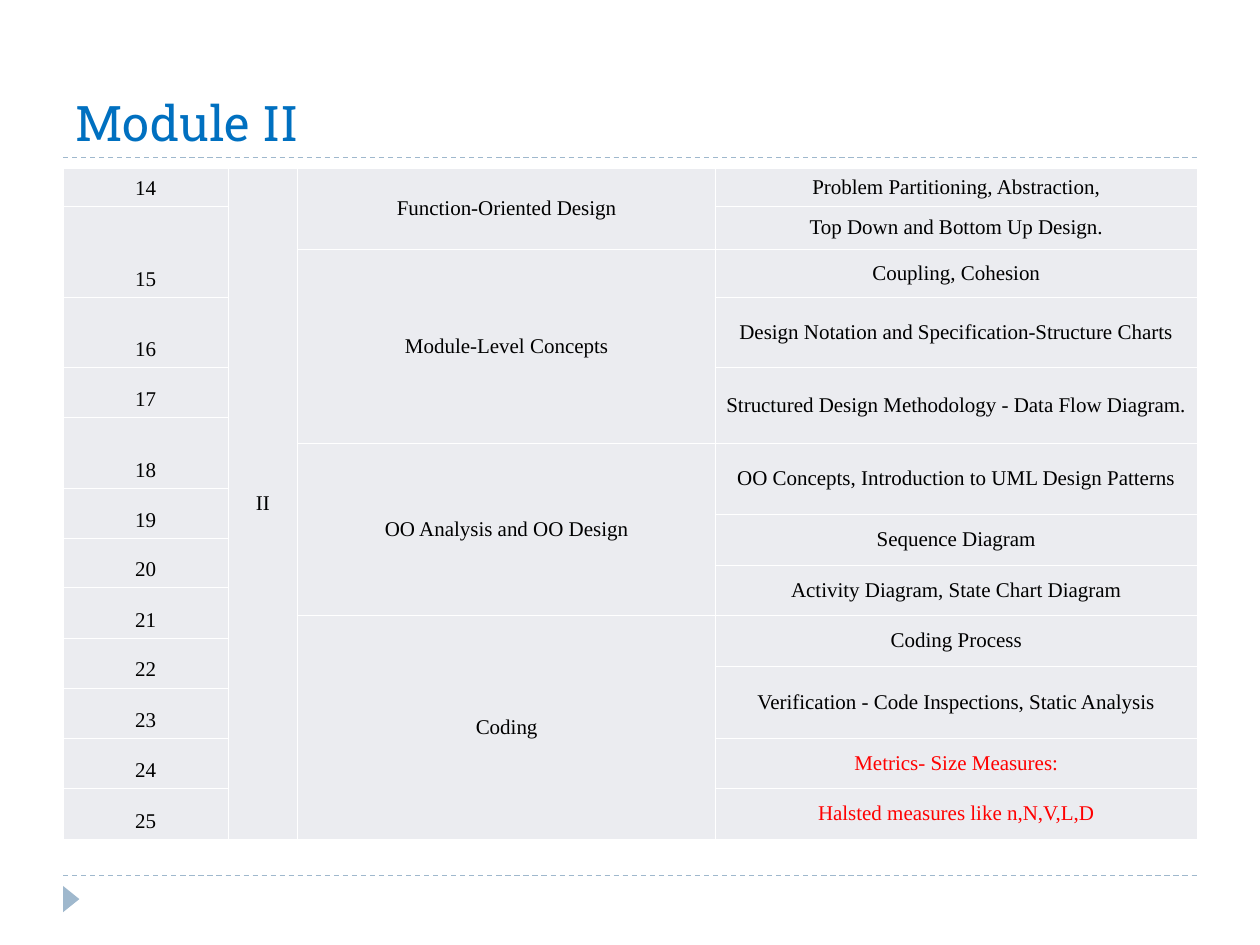
from lxml import etree
from pptx import Presentation
from pptx.dml.color import RGBColor
from pptx.enum.dml import MSO_LINE
from pptx.enum.shapes import MSO_CONNECTOR, MSO_SHAPE
from pptx.enum.text import MSO_ANCHOR, PP_ALIGN
from pptx.oxml.ns import qn
from pptx.util import Cm, Pt

DASH = MSO_LINE.DASH
STRAIGHT = MSO_CONNECTOR.STRAIGHT
TRIANGLE = MSO_SHAPE.ISOSCELES_TRIANGLE
MIDDLE, BOTTOM = MSO_ANCHOR.MIDDLE, MSO_ANCHOR.BOTTOM
LEFT, CENTER = PP_ALIGN.LEFT, PP_ALIGN.CENTER

BLACK, RED, WHITE = "000000", "FF0000", "FFFFFF"
TITLE_BLUE, ACCENT, CELL_GREY = "0070C0", "9FB8CD", "EBECF0"

MARGIN, CONTENT_WIDTH = 1.27, 22.86
COLUMN_WIDTHS = [3.33, 1.4, 8.43, 9.7]
ROW_HEIGHTS = [0.77, 0.87, 0.97, 1.41, 1.01, 0.52, 0.91, 0.52, 0.48,
               0.54, 0.46, 0.56, 0.46, 0.56, 0.44, 1.01, 1.01, 1.03]

# Each column from top to bottom: (text, rows covered)
FIRST_LECTURE = 14
LECTURE_SPANS = [1, 2, 1, 1, 2, 2, 2, 2, 2, 1, 1, 1]
LECTURES = [(str(FIRST_LECTURE + i), span) for i, span in enumerate(LECTURE_SPANS)]
MODULES = [("II", 18)]
UNITS = [
    ("Function-Oriented Design", 2),
    ("Module-Level Concepts", 4),
    ("OO Analysis and OO Design", 6),
    ("Coding", 6),
]
TOPICS = [
    ("Problem Partitioning, Abstraction,", 1),
    ("Top Down and Bottom Up Design.", 1),
    ("Coupling, Cohesion", 1),
    ("Design Notation and Specification-Structure Charts", 1),
    ("Structured Design Methodology - Data Flow Diagram.", 2),
    ("OO Concepts, Introduction to UML Design Patterns", 2),
    ("Sequence Diagram", 2),
    ("Activity Diagram, State Chart Diagram", 2),
    ("Coding Process", 2),
    ("Verification - Code Inspections, Static Analysis", 2),
    ("Metrics- Size Measures:", 1),
    ("Halsted measures like n,N,V,L,D", 1),
]
RED_TOPICS = {"Metrics- Size Measures:", "Halsted measures like n,N,V,L,D"}


def rgb(hex_color):
    return RGBColor.from_string(hex_color)


def write(frame, text, font, size, color, align):
    frame.text = text
    paragraph = frame.paragraphs[0]
    paragraph.alignment = align
    for run in paragraph.runs:
        run.font.name = font
        run.font.size = Pt(size)
        run.font.color.rgb = rgb(color)


def add_title(slide, text):
    title = slide.shapes.add_textbox(Cm(MARGIN), Cm(0.43), Cm(CONTENT_WIDTH), Cm(2.74))
    title.text_frame.word_wrap = True
    title.text_frame.vertical_anchor = BOTTOM
    write(title.text_frame, text, "Roboto Slab", 28, TITLE_BLUE, LEFT)


def add_divider(slide, y):
    divider = slide.shapes.add_connector(
        STRAIGHT, Cm(MARGIN), Cm(y), Cm(MARGIN + CONTENT_WIDTH), Cm(y))
    divider.line.color.rgb = rgb(ACCENT)
    divider.line.width = Pt(0.75)
    divider.line.dash_style = DASH
    etree.SubElement(divider.element.spPr, qn("a:effectLst"))


def add_page_marker(slide):
    marker = slide.shapes.add_shape(TRIANGLE, Cm(1.17), Cm(17.96), Cm(0.53), Cm(0.33))
    marker.rotation = 90
    marker.shadow.inherit = False
    marker.fill.solid()
    marker.fill.fore_color.rgb = rgb(ACCENT)
    marker.line.fill.background()


def style_cell(cell):
    cell.margin_left = cell.margin_right = Cm(0.03)
    cell.margin_top = cell.margin_bottom = Cm(0.13)
    properties = cell._tc.get_or_add_tcPr()
    # Borders come before the fill in the cell properties
    for side in ("a:lnL", "a:lnR", "a:lnT", "a:lnB"):
        border = etree.SubElement(properties, qn(side), w=str(Pt(0.45)))
        border_fill = etree.SubElement(border, qn("a:solidFill"))
        etree.SubElement(border_fill, qn("a:srgbClr"), val=WHITE)
    cell.fill.solid()
    cell.fill.fore_color.rgb = rgb(CELL_GREY)


def fill_column(table, column, entries, anchor):
    row = 0
    for text, span in entries:
        cell = table.cell(row, column)
        if span > 1:
            cell.merge(table.cell(row + span - 1, column))
        cell.vertical_anchor = anchor
        color = RED if text in RED_TOPICS else BLACK
        write(cell.text_frame, text, "Times New Roman", 12, color, CENTER)
        row += span


def add_syllabus(slide):
    table = slide.shapes.add_table(
        len(ROW_HEIGHTS), len(COLUMN_WIDTHS), Cm(MARGIN), Cm(3.39),
        Cm(CONTENT_WIDTH), Cm(sum(ROW_HEIGHTS))).table
    table.first_row = table.horz_banding = False
    for column, width in zip(table.columns, COLUMN_WIDTHS):
        column.width = Cm(width)
    for row, height in zip(table.rows, ROW_HEIGHTS):
        row.height = Cm(height)
    for cell in table.iter_cells():
        style_cell(cell)
    for column, entries in enumerate([LECTURES, MODULES, UNITS, TOPICS]):
        fill_column(table, column, entries, BOTTOM if entries is LECTURES else MIDDLE)


def main():
    prs = Presentation()
    prs.slide_width, prs.slide_height = Cm(25.4), Cm(19.05)
    slide = prs.slides.add_slide(prs.slide_layouts[6])

    # Page frame
    add_divider(slide, 17.65)
    add_divider(slide, 3.17)
    add_page_marker(slide)

    # Content
    add_title(slide, "Module II")
    add_syllabus(slide)

    prs.save("out.pptx")


if __name__ == "__main__":
    main()
